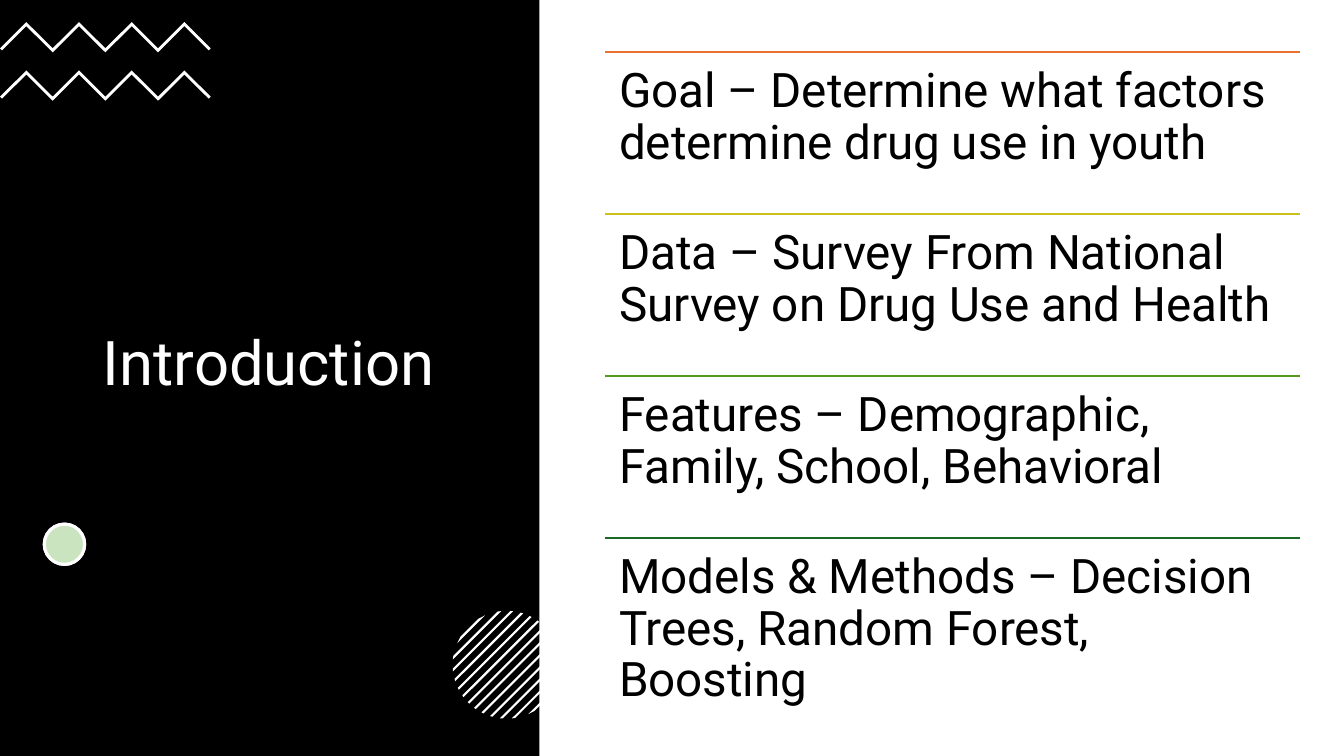
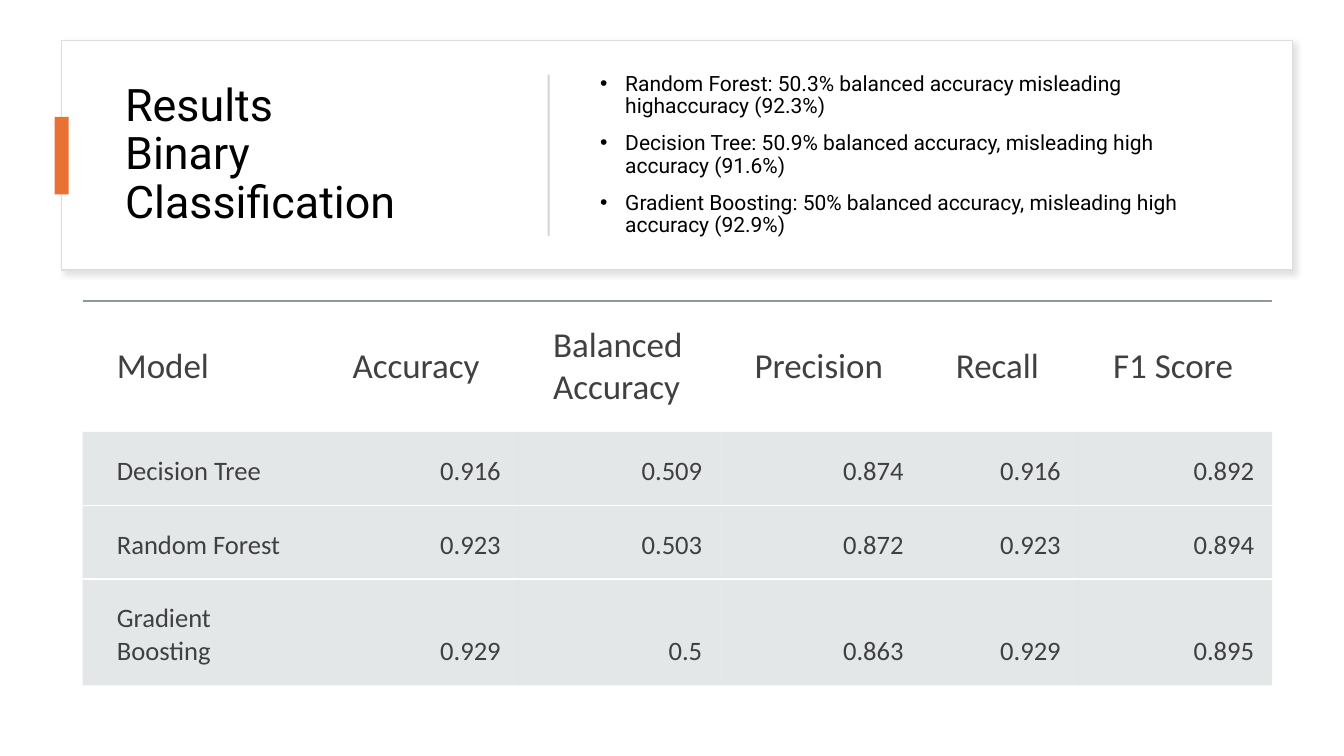
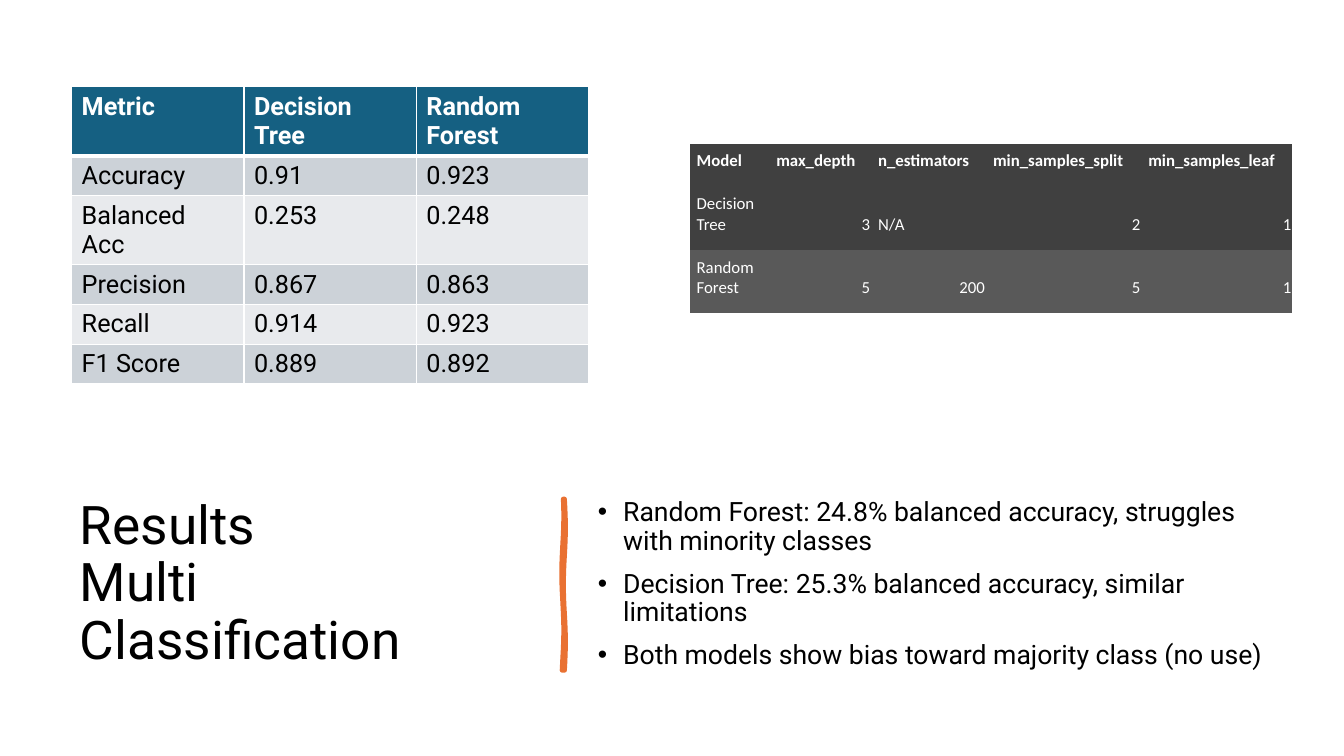
import math
from dataclasses import dataclass, field

from lxml import etree
from pptx import Presentation
from pptx.dml.color import RGBColor
from pptx.enum.shapes import MSO_CONNECTOR, MSO_SHAPE
from pptx.enum.text import MSO_ANCHOR, MSO_AUTO_SIZE, PP_ALIGN
from pptx.oxml.ns import qn
from pptx.util import Inches, Pt

RECTANGLE, OVAL = MSO_SHAPE.RECTANGLE, MSO_SHAPE.OVAL
STRAIGHT = MSO_CONNECTOR.STRAIGHT
TOP, MIDDLE, BOTTOM = MSO_ANCHOR.TOP, MSO_ANCHOR.MIDDLE, MSO_ANCHOR.BOTTOM
LEFT, RIGHT = PP_ALIGN.LEFT, PP_ALIGN.RIGHT
NO_AUTOFIT = MSO_AUTO_SIZE.NONE

COLORS = {
    "white": "FFFFFF", "black": "000000", "orange": "E97132",
    "olive": "CBC11E", "leaf": "56991D", "forest": "196B24",
    "green": "4EA72E", "card_edge": "DEDEDE", "card_shadow": "C5C5C5",
    "divider": "D5D5D5", "score_rule": "8F9A9D", "score_row": "B4BCBE",
    "charcoal": "404040", "graphite": "595959", "teal": "156082",
    "band_dark": "CCD2D8", "band_light": "E8EAED",
}
HEADING_FONT, TABLE_FONT = "Roboto", "Calibri"
TITLE_ONLY, TITLE_AND_CONTENT = 5, 1
PLAIN_TABLE_STYLE = "{2D5ABB26-0587-4C30-8999-92F81FD0307C}"


@dataclass
class Box:
    left: float
    top: float
    width: float
    height: float

    def region(self, left, top, width, height):
        return Box(self.left + self.width * left / 100,
                   self.top + self.height * top / 100,
                   self.width * width / 100, self.height * height / 100)

    def emu(self):
        return [Inches(v) for v in (self.left, self.top, self.width, self.height)]


PAGE = Box(0, 0, 13.33, 7.5)


@dataclass
class CellLook:
    size: float
    fill: str = ""
    alpha: int = 100
    color: str = "black"
    bold: bool = False
    font: str = HEADING_FONT
    anchor: int = TOP
    align: int = LEFT
    insets: tuple = (0.1, 0.05, 0.1, 0.05)
    borders: dict = field(default_factory=dict)


def rgb(name):
    return RGBColor.from_string(COLORS[name])


def set_alpha(properties, percent):
    color = properties.find(qn("a:solidFill")).find(qn("a:srgbClr"))
    etree.SubElement(color, qn("a:alpha"), val=str(percent * 1000))


def add_run(paragraph, text, size, color="black", bold=False, font=HEADING_FONT):
    run = paragraph.add_run()
    run.text = text
    run.font.size, run.font.name, run.font.bold = Pt(size), font, bold
    run.font.color.rgb = rgb(color)


def paint(shape, fill, line=None, line_width=1):
    shape.shadow.inherit = False
    shape.fill.solid()
    shape.fill.fore_color.rgb = rgb(fill)
    if line:
        shape.line.color.rgb = rgb(line)
        shape.line.width = Pt(line_width)
    else:
        shape.line.fill.background()
    return shape


def add_block(slide, box, kind, fill, line=None, line_width=1):
    return paint(slide.shapes.add_shape(kind, *box.emu()), fill, line, line_width)


def add_polygon(slide, points, fill, line=None, line_width=1):
    start, *rest = [(Inches(x), Inches(y)) for x, y in points]
    builder = slide.shapes.build_freeform(*start)
    builder.add_line_segments(rest, close=True)
    return paint(builder.convert_to_shape(), fill, line, line_width)


def place_placeholder(placeholder, box):
    placeholder.left, placeholder.top, placeholder.width, placeholder.height = box.emu()
    placeholder.element.getparent().append(placeholder.element)
    frame = placeholder.text_frame
    frame.word_wrap, frame.auto_size = True, NO_AUTOFIT
    frame.vertical_anchor = MIDDLE
    return frame


def place_title(slide, box, lines, size, color="black"):
    paragraph = place_placeholder(slide.shapes.title, box).paragraphs[0]
    paragraph.alignment, paragraph.line_spacing = LEFT, 0.9
    for index, line in enumerate(lines):
        if index:
            paragraph.add_line_break()
        add_run(paragraph, line, size, color)


def place_findings(slide, box, findings, size):
    frame = place_placeholder(slide.placeholders[1], box)
    for index, finding in enumerate(findings):
        paragraph = frame.add_paragraph() if index else frame.paragraphs[0]
        paragraph.line_spacing, paragraph.space_before = 0.9, Pt(10)
        properties = paragraph._p.get_or_add_pPr()
        properties.set("marL", str(Inches(0.25)))
        properties.set("indent", str(Inches(-0.25)))
        add_run(paragraph, finding, size)


def set_borders(properties, borders):
    for side in "LRTB":
        color, width, alpha = borders.get(side, (None, 0, 100))
        edge = etree.SubElement(properties, qn(f"a:ln{side}"), w=str(Pt(width)))
        if color is None:
            etree.SubElement(edge, qn("a:noFill"))
            continue
        fill = etree.SubElement(edge, qn("a:solidFill"))
        etree.SubElement(fill, qn("a:srgbClr"), val=COLORS[color])
        set_alpha(edge, alpha)


def format_cell(cell, text, look):
    properties = cell._tc.get_or_add_tcPr()
    set_borders(properties, look.borders)
    if look.fill:
        cell.fill.solid()
        cell.fill.fore_color.rgb = rgb(look.fill)
        set_alpha(properties, look.alpha)
    else:
        cell.fill.background()
    cell.vertical_anchor = look.anchor
    (cell.margin_left, cell.margin_top,
     cell.margin_right, cell.margin_bottom) = [Inches(v) for v in look.insets]
    paragraph = cell.text_frame.paragraphs[0]
    paragraph.alignment = look.align
    add_run(paragraph, text, look.size, look.color, look.bold, look.font)


def share_out(lines, weights, total):
    for line, weight in zip(lines, weights):
        yield line, Inches(total * weight / sum(weights))


def place_table(slide, box, records, column_weights, row_weights, look):
    frame = slide.shapes.add_table(len(records), len(records[0]), *box.emu())
    table = frame.table
    table.first_row = table.horz_banding = False
    table._tbl.tblPr.find(qn("a:tableStyleId")).text = PLAIN_TABLE_STYLE
    for column, width in share_out(table.columns, column_weights, box.width):
        column.width = width
    for row, height in share_out(table.rows, row_weights, box.height):
        row.height = height
    for r, record in enumerate(records):
        for c, text in enumerate(record):
            format_cell(table.cell(r, c), text, look(r, c, text))


def align_value(text):
    return RIGHT if text[0].isdigit() else LEFT


def score_look(row, column, text):
    if row == 0:
        return CellLook(25, color="charcoal", font=TABLE_FONT, anchor=MIDDLE,
                        insets=(0.34, 0.21, 0.21, 0.21),
                        borders={"T": ("score_rule", 1.5, 60)})
    gap = ("white", 1.5, 100)
    borders = {side: gap for side, last in (("T", 1), ("B", 3)) if row != last}
    return CellLook(19, "score_row", 35, "charcoal", font=TABLE_FONT, anchor=BOTTOM,
                    align=align_value(text), insets=(0.34, 0.18, 0.18, 0.18),
                    borders=borders)


def setting_look(row, column, text):
    borders = {"L": ("white", 1, 100)} if column == 0 else {}
    return CellLook(12, "graphite" if row == 2 else "charcoal", color="white",
                    bold=row == 0, font=TABLE_FONT, anchor=BOTTOM,
                    align=align_value(text), insets=(0.07, 0.02, 0.01, 0.15),
                    borders=borders)


def metric_look(row, column, text):
    thin, thick = ("white", 1, 100), ("white", 3, 100)
    borders = {"L": thin, "R": thin, "T": thick if row == 1 else thin,
               "B": thick if row == 0 else thin}
    if row == 0:
        return CellLook(18, "teal", color="white", bold=True, borders=borders)
    return CellLook(18, "band_dark" if row % 2 else "band_light", borders=borders)


def draw_zigzag(slide, box, folds=8, thickness=0.04):
    step, rise = box.width / folds, box.height - thickness
    upper = [(box.left + i * step, box.top + (rise if i % 2 == 0 else 0))
             for i in range(folds + 1)]
    lower = [(x, y + thickness) for x, y in upper]
    inset = thickness / 2
    lower[0] = (upper[0][0] + inset, upper[0][1] + inset)
    lower[-1] = (upper[-1][0] - inset, upper[-1][1] + inset)
    add_polygon(slide, upper + lower[::-1], "white")


def draw_striped_disc(slide, box, stripes=13, pitch=0.12, thickness=0.03):
    radius = box.width / 2
    center_x, center_y = box.left + radius, box.top + radius

    def chord(shift):
        half = math.sqrt(max(0, radius ** 2 - shift ** 2 / 2)) / math.sqrt(2)
        x, y = center_x + shift / 2, center_y + shift / 2
        return [(x + half, y - half), (x - half, y + half)]

    for i in range(stripes):
        shift = (i - stripes // 2) * pitch
        near, far = chord(shift - thickness / 2), chord(shift + thickness / 2)
        add_polygon(slide, near + far[::-1], "white")


def draw_brush_stroke(slide, box, samples=24):
    def edge(x, phase):
        return [(x + 0.01 * math.sin(2 * math.pi * (1.5 * i / samples + phase)),
                 box.top + box.height * i / samples) for i in range(samples + 1)]

    right, left = edge(box.left + box.width, 0), edge(box.left, 0.1)
    add_polygon(slide, right + left[::-1], "orange", "orange", 3.25)


def draw_intro_panel(slide, box):
    add_block(slide, box, RECTANGLE, "black")
    place_title(slide, box.region(17.2, 17.47, 65.42, 61.73), ["Introduction"], 44, "white")
    for top in (2.93, 9.33):
        draw_zigzag(slide, box.region(0, top, 39.07, 4))
    dot = box.region(8.22, 69.33, 7.48, 5.33)
    for color, alpha in (("white", 100), ("green", 30)):
        disc = add_block(slide, dot, OVAL, color, "white", 2.25)
        set_alpha(disc.element.spPr, alpha)
    draw_striped_disc(slide, box.region(83.93, 80.8, 20, 14.27))


def draw_topics(slide, box, topics):
    share = 100 / len(topics)
    for index, (text, color) in enumerate(topics):
        row = box.region(0, index * share, 100, share)
        left, top, width, height = row.emu()
        rule = slide.shapes.add_connector(STRAIGHT, left, top, left + width, top)
        rule.line.color.rgb = rgb(color)
        rule.line.width = Pt(1.5)
        etree.SubElement(rule.element.spPr, qn("a:effectLst"))
        frame = slide.shapes.add_textbox(left, top, width, height).text_frame
        frame.word_wrap = True
        frame.margin_left = frame.margin_right = Inches(0.14)
        frame.margin_top = frame.margin_bottom = Inches(0.14)
        frame.paragraphs[0].line_spacing = 0.9
        add_run(frame.paragraphs[0], text, 34)


def draw_summary_card(slide, box, title, findings):
    card = add_block(slide, box, RECTANGLE, "white", "card_edge")
    effects = card.element.spPr.find(qn("a:effectLst"))
    shadow = etree.SubElement(effects, qn("a:outerShdw"), blurRad=str(Pt(4)),
                              dist=str(Pt(3)), dir=str(45 * 60000), rotWithShape="0")
    tone = etree.SubElement(shadow, qn("a:srgbClr"), val=COLORS["card_shadow"])
    etree.SubElement(tone, qn("a:alpha"), val="50000")
    place_title(slide, box.region(4.34, 10.53, 31.86, 78.95), title, 32)
    add_block(slide, box.region(-0.57, 33.33, 1.15, 33.77), RECTANGLE, "orange")
    add_block(slide, box.region(39.48, 14.91, 0.16, 70.18), RECTANGLE, "divider")
    place_findings(slide, box.region(42.92, 10.53, 53.73, 78.95), findings, 15)


def build_introduction(deck):
    slide = deck.slides.add_slide(deck.slide_layouts[TITLE_ONLY])
    draw_intro_panel(slide, PAGE.region(0, 0, 40.13, 100))
    draw_topics(slide, PAGE.region(45.01, 6.93, 51.69, 85.73), [
        ("Goal – Determine what factors determine drug use in youth", "orange"),
        ("Data – Survey From National Survey on Drug Use and Health", "olive"),
        ("Features – Demographic, Family, School, Behavioral", "leaf"),
        ("Models & Methods – Decision Trees, Random Forest, Boosting", "forest"),
    ])


def build_binary_results(deck):
    slide = deck.slides.add_slide(deck.slide_layouts[TITLE_AND_CONTENT])
    draw_summary_card(slide, PAGE.region(4.58, 5.33, 91.6, 30.4),
                      ["Results", "Binary Classification"], [
        "Random Forest: 50.3% balanced accuracy misleading highaccuracy (92.3%)",
        "Decision Tree: 50.9% balanced accuracy, misleading high accuracy (91.6%)",
        "Gradient Boosting: 50% balanced accuracy, misleading high accuracy (92.9%)",
    ])
    scores = [
        ("Model", "Accuracy", "Balanced Accuracy", "Precision", "Recall", "F1 Score"),
        ("Decision Tree", "0.916", "0.509", "0.874", "0.916", "0.892"),
        ("Random Forest", "0.923", "0.503", "0.872", "0.923", "0.894"),
        ("Gradient Boosting", "0.929", "0.5", "0.863", "0.929", "0.895"),
    ]
    place_table(slide, PAGE.region(6.15, 39.87, 88.52, 50.8), scores,
                (2.34, 1.99, 2, 2, 1.56, 1.92), (1.29, 0.73, 0.73, 1.05), score_look)


def build_multi_results(deck):
    slide = deck.slides.add_slide(deck.slide_layouts[TITLE_AND_CONTENT])
    place_title(slide, PAGE.region(5.18, 64.8, 34.81, 25.07),
                ["Results", "Multi Classification"], 38)
    draw_brush_stroke(slide, PAGE.region(41.86, 66, 0.15, 22.67))
    place_findings(slide, PAGE.region(43.74, 64.8, 51.01, 25.07), [
        "Random Forest: 24.8% balanced accuracy, struggles with minority classes",
        "Decision Tree: 25.3% balanced accuracy, similar limitations",
        "Both models show bias toward majority class (no use)",
    ], 19)
    settings = [
        ("Model", "max_depth", "n_estimators", "min_samples_split", "min_samples_leaf"),
        ("Decision Tree", "3", "N/A", "2", "1"),
        ("Random Forest", "5", "200", "5", "1"),
    ]
    place_table(slide, PAGE.region(51.31, 19.07, 44.86, 22.4), settings,
                (0.79, 1.01, 1.14, 1.54, 1.5), (2, 3, 3), setting_look)
    metrics = [
        ("Metric", "Decision Tree", "Random Forest"),
        ("Accuracy", "0.91", "0.923"),
        ("Balanced Acc", "0.253", "0.248"),
        ("Precision", "0.867", "0.863"),
        ("Recall", "0.914", "0.923"),
        ("F1 Score", "0.889", "0.892"),
    ]
    place_table(slide, PAGE.region(5.33, 11.47, 38.48, 29.6), metrics,
                [1] * 3, [1] * 6, metric_look)


def main():
    deck = Presentation()
    deck.slide_width, deck.slide_height = Inches(PAGE.width), Inches(PAGE.height)
    build_introduction(deck)
    build_binary_results(deck)
    build_multi_results(deck)
    deck.save("out.pptx")


if __name__ == "__main__":
    main()
